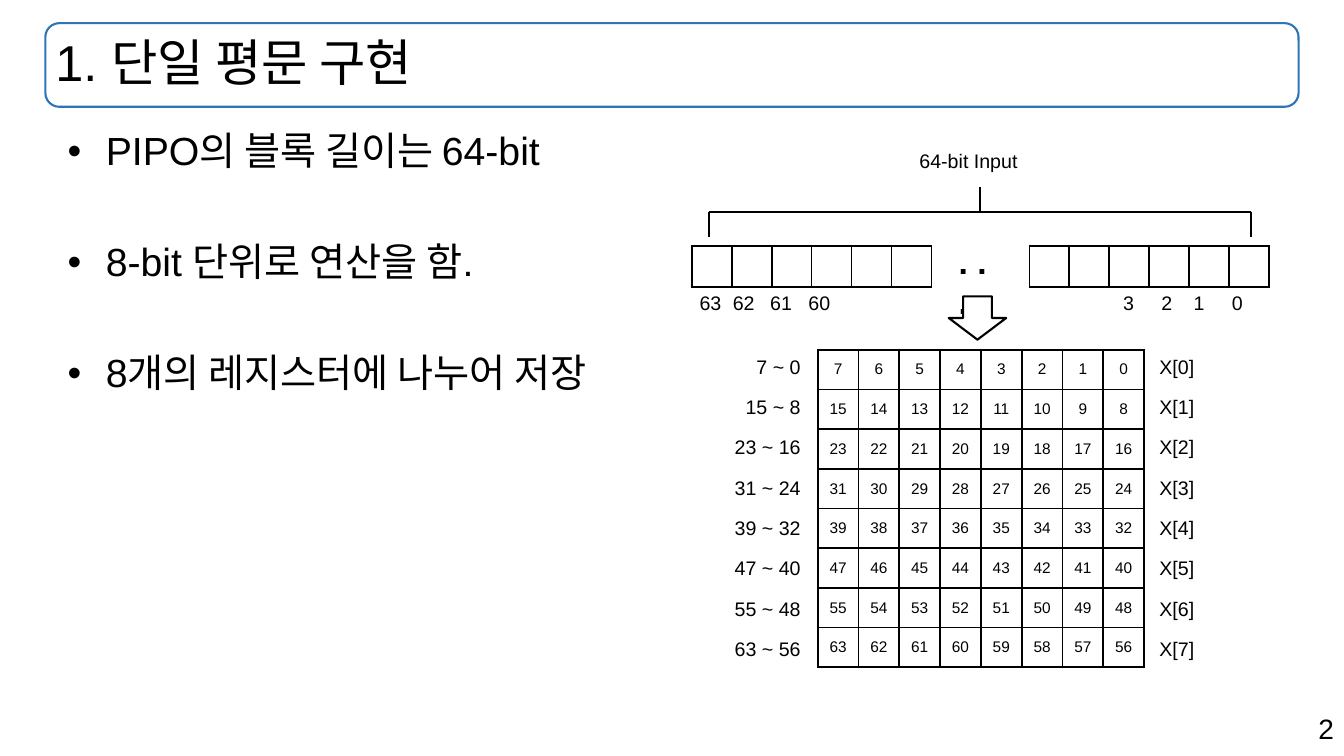
from lxml.etree import SubElement
from pptx import Presentation
from pptx.dml.color import RGBColor
from pptx.enum.shapes import MSO_CONNECTOR, MSO_SHAPE
from pptx.enum.text import MSO_ANCHOR, MSO_AUTO_SIZE, PP_ALIGN
from pptx.oxml.ns import qn
from pptx.util import Pt

PX = 9144  # EMU in one px, 100 px to the inch
FONT = "Arial"
INK = {"text": "000000", "line": "000000", "cell": "FFFFFF", "frame": "2E75B5"}
POINTS = ["PIPO의 블록 길이는 64-bit", "8-bit 단위로 연산을 함.",
          "8개의 레지스터에 나누어 저장"]
BITS = 8


def emu(*vals):
    return [v * PX for v in vals]


def rgb(key):
    return RGBColor.from_string(INK[key])


def style(par, size, bold=False, align=PP_ALIGN.LEFT):
    par.alignment = align
    for run in par.runs:
        font = run.font
        font.name, font.size, font.bold = FONT, Pt(size), bold
        font.color.rgb = rgb("text")


def place(shape, box):
    shape.left, shape.top, shape.width, shape.height = emu(*box)


def set_title(slide, text, box):
    title = slide.shapes.title
    place(title, box)
    frame = title.text_frame
    frame.text = text
    frame.auto_size = MSO_AUTO_SIZE.NONE
    frame.vertical_anchor = MSO_ANCHOR.MIDDLE
    par = frame.paragraphs[0]
    par.line_spacing = 0.9
    style(par, 36)


def set_list(slide, items, box):
    body = slide.placeholders[1]
    place(body, box)
    frame = body.text_frame
    frame.text = "\n".join(items)
    frame.auto_size = MSO_AUTO_SIZE.NONE
    for i, par in enumerate(frame.paragraphs):
        props = par._p.get_or_add_pPr()
        props.set("marL", str(50 * PX))
        props.set("indent", str(-38 * PX))
        SubElement(props, qn("a:buChar")).set("char", "•")
        par.line_spacing = 0.9
        par.space_before = Pt(49 if i else 0)
        style(par, 28)


def add_label(slide, text, box, size=14, bold=False, align=PP_ALIGN.LEFT,
              wrap=True, tabs=()):
    frame = slide.shapes.add_textbox(*emu(*box)).text_frame
    frame.word_wrap = wrap
    par = frame.paragraphs[0]
    par.text = text
    if tabs:
        stops = SubElement(par._p.get_or_add_pPr(), qn("a:tabLst"))
        for pos in tabs:
            stop = SubElement(stops, qn("a:tab"))
            stop.set("pos", str(pos * PX))
            stop.set("algn", "l")
    style(par, size, bold, align)


def add_shape(slide, kind, box, line, fill=None):
    shape = slide.shapes.add_shape(kind, *emu(*box))
    shape.shadow.inherit = False
    if fill:
        shape.fill.solid()
        shape.fill.fore_color.rgb = rgb(fill)
    else:
        shape.fill.background()
    shape.line.color.rgb = rgb(line)
    shape.line.width = Pt(1.5)


def add_line(slide, *ends):
    line = slide.shapes.add_connector(MSO_CONNECTOR.STRAIGHT, *emu(*ends))
    line.line.color.rgb = rgb("line")
    line.line.width = Pt(1.5)
    SubElement(line._element.spPr, qn("a:effectLst"))


def add_edges(cell):
    props = cell._tc.get_or_add_tcPr()
    for side in ("lnL", "lnR", "lnT", "lnB"):
        edge = SubElement(props, qn(f"a:{side}"))
        edge.set("w", str(Pt(1.5)))
        fill = SubElement(edge, qn("a:solidFill"))
        SubElement(fill, qn("a:srgbClr")).set("val", INK["line"])


def add_grid(slide, rows, box):
    shape = slide.shapes.add_table(len(rows), len(rows[0]), *emu(*box))
    table = shape.table
    table.first_row = table.horz_banding = False
    for r, row in enumerate(rows):
        for c, text in enumerate(row):
            cell = table.cell(r, c)
            add_edges(cell)
            cell.fill.solid()
            cell.fill.fore_color.rgb = rgb("cell")
            cell.vertical_anchor = MSO_ANCHOR.MIDDLE
            if text:
                cell.text_frame.text = text
                style(cell.text_frame.paragraphs[0], 11, align=PP_ALIGN.CENTER)


def main():
    prs = Presentation()
    prs.slide_width, prs.slide_height = emu(1333, 750)
    slide = prs.slides.add_slide(prs.slide_layouts[1])

    # Title, list and page number
    head = (45, 23, 1243, 83)
    add_shape(slide, MSO_SHAPE.ROUNDED_RECTANGLE, head, "frame")
    set_title(slide, "1. 단일 평문 구현", head)
    set_list(slide, POINTS, (45, 126, 1243, 553))
    add_label(slide, "2", (943, 701, 390, 44), 20, align=PP_ALIGN.RIGHT)

    # Input block with its bracket
    for left in (686, 1021):
        add_grid(slide, [[""] * 6], (left, 244, 238, 41))
    add_label(slide, ". . .", (941, 234, 62, 50), 24, bold=True, wrap=False)
    for x, top, end in ((703, 210, 235), (1241, 210, 235), (972, 186, 210)):
        add_line(slide, x, top, x, end)
    add_line(slide, 703, 210, 1241, 210)
    add_label(slide, "64-bit Input", (902, 143, 142, 40))
    add_label(slide, "63\t62\t61\t60", (684, 284, 180, 40), tabs=(33, 70, 108))
    add_label(slide, "3\t2\t1\t0", (1104, 284, 165, 40), tabs=(38, 70, 108))
    add_shape(slide, MSO_SHAPE.DOWN_ARROW, (941, 294, 57, 43), "line", "cell")

    # Registers, high bit first in each row
    bits = [[str(low + b) for b in reversed(range(BITS))]
            for low in range(0, BITS * BITS, BITS)]
    add_grid(slide, bits, (811, 347, 324, 315))
    for i, row in enumerate(bits):
        top = 347 + 40 * i
        add_label(slide, f"{row[0]} ~ {row[-1]}", (704, top, 100, 40),
                  align=PP_ALIGN.RIGHT)
        add_label(slide, f"X[{i}]", (1140, top, 62, 40))

    prs.save("out.pptx")


if __name__ == "__main__":
    main()
